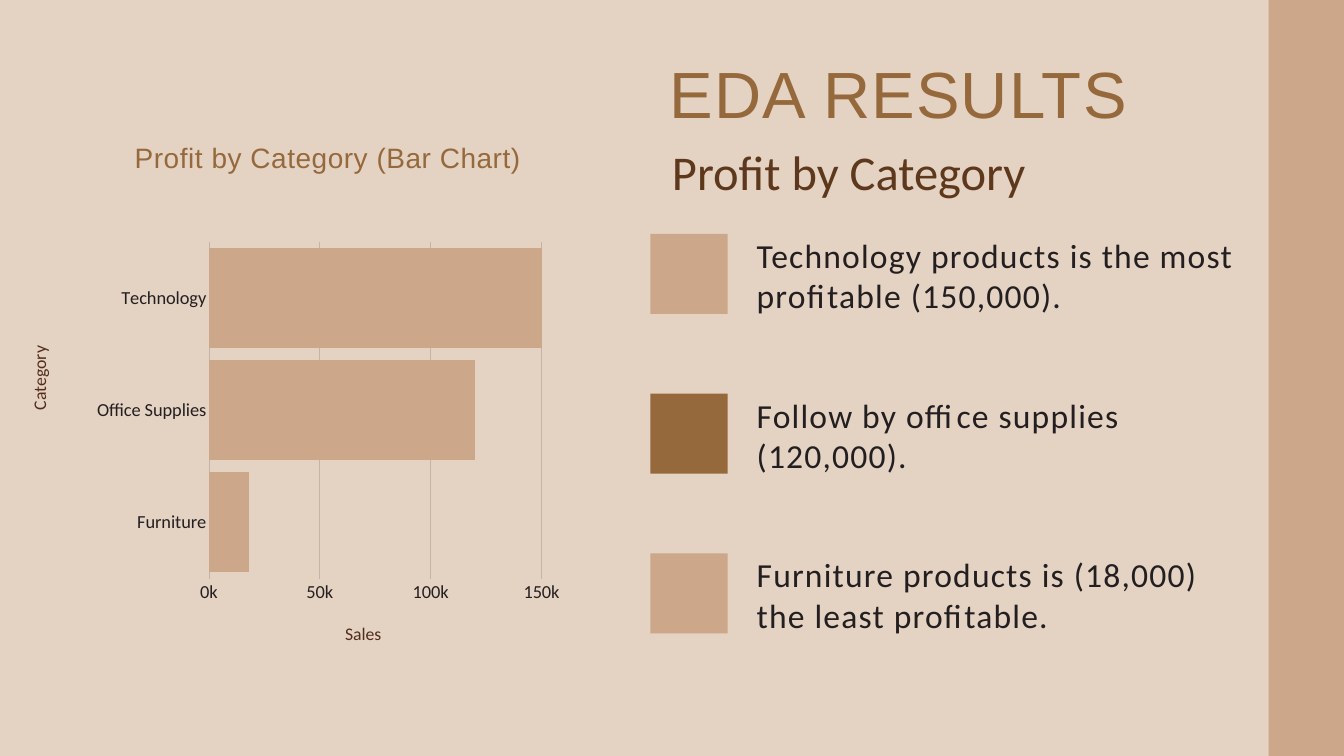
import pptx
import pptx.chart.data
import pptx.dml.color
import pptx.enum.chart
import pptx.enum.shapes
import pptx.enum.text
import pptx.util
import lxml.etree

theme = {
    "color": {name: pptx.dml.color.RGBColor.from_string(code) for name, code in {
        "sand": "E4D2C3", "tan": "CCA78A", "brown": "96693C", "cocoa": "5D381C",
        "axis": "522D1C", "ink": "231F20", "grid": "C4B3A6"}.items()},
    "size": {"title": 70, "subtitle": 52, "insight": 36, "chart": 30,
             "label": 19.7, "axis": 19},
    "heading": "Arial",
    "body": "Calibri",
}
align = pptx.enum.text.PP_ALIGN

deck = pptx.Presentation()
deck.slide_width, deck.slide_height = pptx.util.Inches(20), pptx.util.Inches(11.25)
slide = deck.slides.add_slide(deck.slide_layouts[6])
slide.background.fill.solid()
slide.background.fill.fore_color.rgb = theme["color"]["sand"]


def area(left, top, width, height):
    """Turn percentages of the slide into left, top, width and height."""
    across, down = deck.slide_width / 100, deck.slide_height / 100
    return int(left * across), int(top * down), int(width * across), int(height * down)


def write(words, place, size, color, font, leading, spacing=0, side=align.LEFT, wrap=True):
    box = slide.shapes.add_textbox(*area(*place))
    frame = box.text_frame
    frame.word_wrap = wrap
    frame.margin_left = frame.margin_right = frame.margin_top = frame.margin_bottom = 0
    paragraph = frame.paragraphs[0]
    paragraph.alignment = side
    paragraph.line_spacing = pptx.util.Pt(leading)
    run = paragraph.add_run()
    run.text = words
    run.font.size = pptx.util.Pt(theme["size"][size])
    run.font.name = theme[font]
    run.font.color.rgb = theme["color"][color]
    if spacing:
        run.font._element.set("spc", str(int(spacing * 100)))
    return box


# Insights: a square and a sentence on each row
insights = [
    ("Technology products is the most profitable (150,000).", "tan"),
    ("Follow by office supplies (120,000).", "brown"),
    ("Furniture products is (18,000) the least profitable.", "tan"),
]
first_row, row_step = 30.93, 21.13
blocks = [((94.4, 0, 5.6, 100), "tan")]  # band along the right edge
for row, (sentence, color) in enumerate(insights):
    top = first_row + row * row_step
    blocks.append(((48.4, top, 5.75, 10.58), color))
    write(sentence, (56.3, top + 0.12, 35.95, 10.5), "insight", "ink", "body", 43.2, 1.3)

for place, color in blocks:
    block = slide.shapes.add_shape(pptx.enum.shapes.MSO_SHAPE.RECTANGLE, *area(*place))
    block.shadow.inherit = False
    block.fill.solid()
    block.fill.fore_color.rgb = theme["color"][color]
    block.line.fill.background()

# Bar chart, categories from the bottom up
profits = pptx.chart.data.CategoryChartData()
profits.categories = ["Furniture", "Office Supplies", "Technology"]
profits.add_series("Sales", (18000, 120000, 150000))
chart_place = (4, 30, 40, 52)
plot_place = (15.55, 32, 24.75, 44.53)
chart = slide.shapes.add_chart(pptx.enum.chart.XL_CHART_TYPE.BAR_CLUSTERED,
                               *area(*chart_place), profits).chart
chart.has_legend = False
chart.has_title = False
chart.font.name = theme["body"]
chart.font.size = pptx.util.Pt(theme["size"]["label"])
chart.font.color.rgb = theme["color"]["ink"]

bars = chart.plots[0]
bars.vary_by_categories = False
bars.gap_width = 12
bars.series[0].format.fill.solid()
bars.series[0].format.fill.fore_color.rgb = theme["color"]["tan"]

sales, category = chart.value_axis, chart.category_axis
sales.minimum_scale, sales.maximum_scale, sales.major_unit = 0, 150000, 50000
sales.tick_labels.number_format = '0,"k"'
sales.tick_labels.number_format_is_linked = False
sales.has_major_gridlines = True
sales.major_gridlines.format.line.color.rgb = theme["color"]["grid"]
sales.major_gridlines.format.line.width = pptx.util.Pt(0.75)
for axis in (sales, category):
    axis.major_tick_mark = pptx.enum.chart.XL_TICK_MARK.NONE
    axis.format.line.fill.background()

# Fix the inner plot area inside the chart frame
plot_area = chart._chartSpace.chart.plotArea
space = "{http://schemas.openxmlformats.org/drawingml/2006/chart}"
for old_layout in plot_area.findall(space + "layout"):
    plot_area.remove(old_layout)
layout = lxml.etree.Element(space + "layout")
manual = lxml.etree.SubElement(layout, space + "manualLayout")
for tag, value in {
    "layoutTarget": "inner", "xMode": "edge", "yMode": "edge",
    "x": (plot_place[0] - chart_place[0]) / chart_place[2],
    "y": (plot_place[1] - chart_place[1]) / chart_place[3],
    "w": plot_place[2] / chart_place[2],
    "h": plot_place[3] / chart_place[3],
}.items():
    lxml.etree.SubElement(manual, space + tag).set("val", str(value))
plot_area.insert(0, layout)

# Chart heading and axis names
write("Profit by Category (Bar Chart)", (5.6, 18.49, 37.6, 4.44), "chart", "brown",
      "heading", 36.6, 0.6, align.CENTER)
write("Sales", (25.55, 81.96, 2.95, 3.11), "axis", "axis", "body", 26.6,
      side=align.CENTER, wrap=False)
category_name = write("Category", (0.03, 48.44, 5.4, 3.11), "axis", "axis", "body", 26.6,
                      side=align.CENTER, wrap=False)
category_name.rotation = 270

# Slide title and subtitle
write("EDA RESULTS", (49.85, 6.84, 37.6, 10.6), "title", "brown", "heading", 85.4, 1.3)
write("Profit by Category", (50, 17.51, 32.85, 8.36), "subtitle", "cocoa", "body", 72.8)

deck.save("out.pptx")
